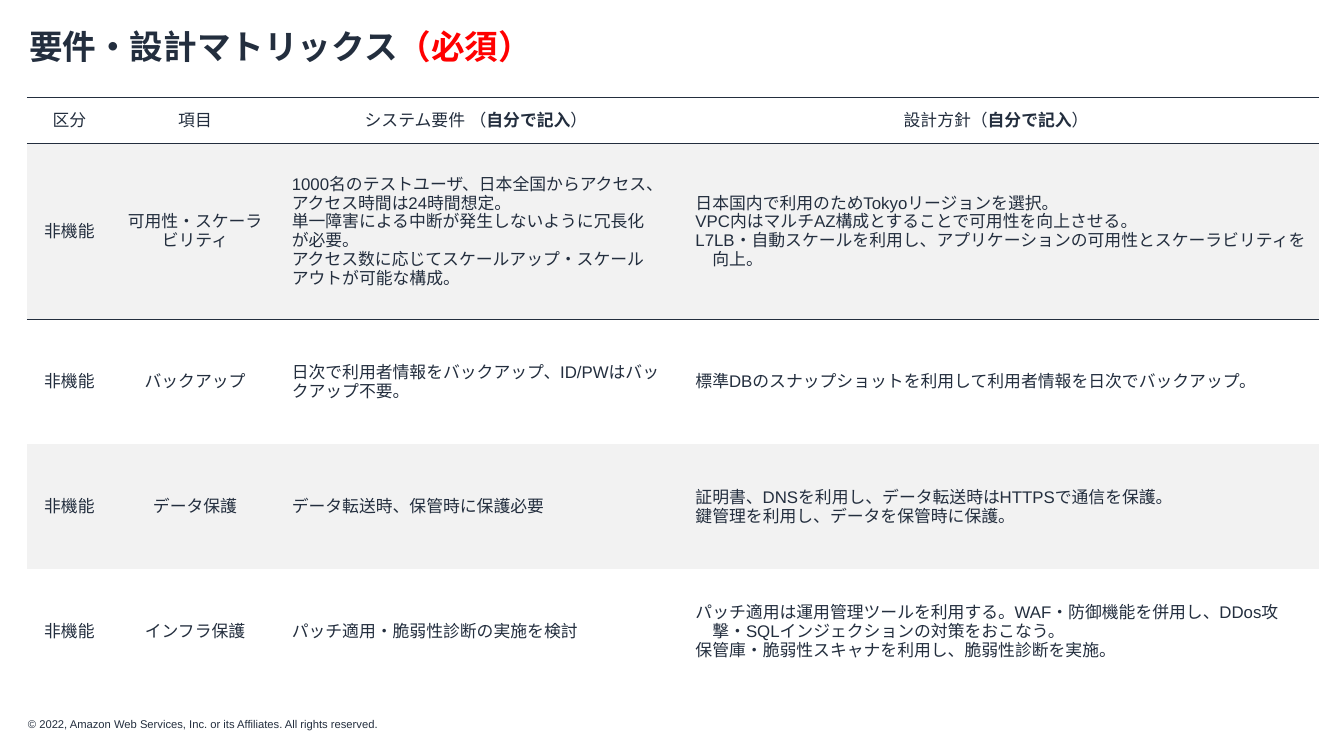
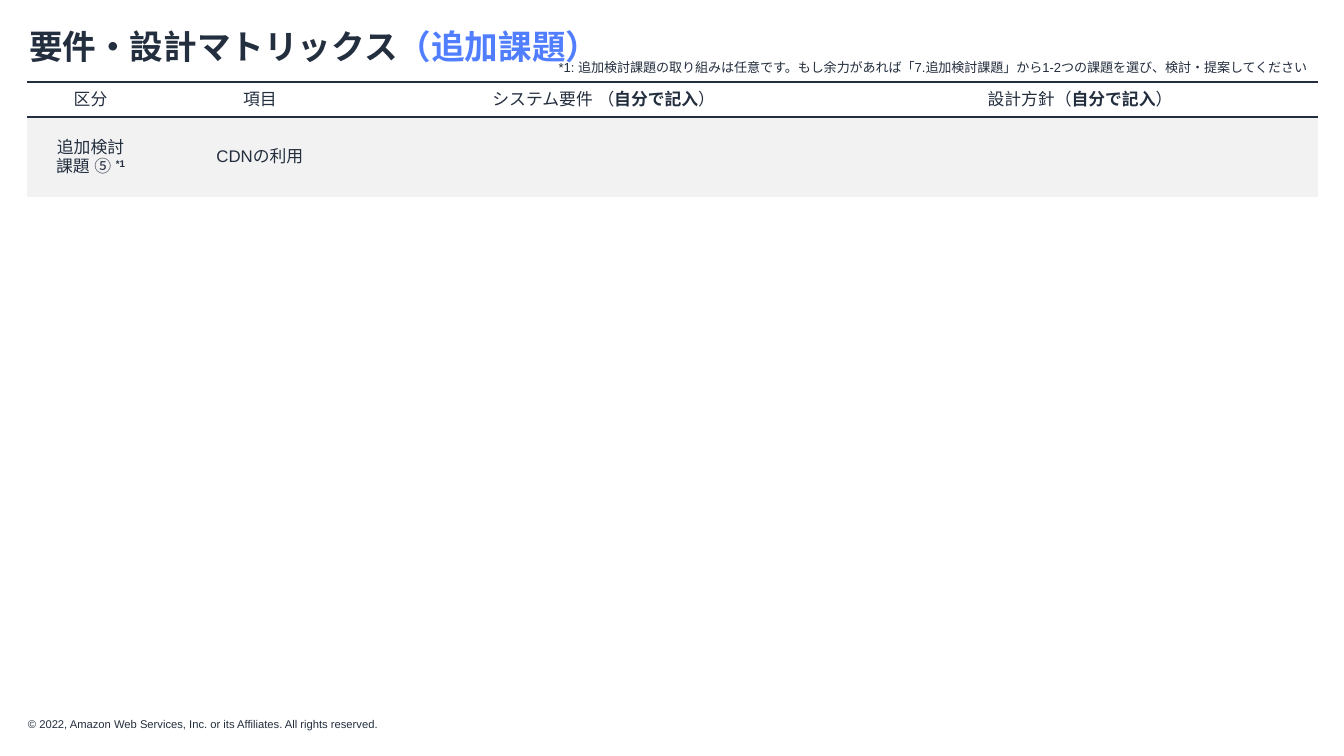
import pptx
import pptx.util
from pptx.dml.color import RGBColor
from pptx.enum.text import MSO_ANCHOR, PP_ALIGN
from pptx.oxml.ns import qn
from pptx.util import Cm, Pt
from lxml import etree

INK = RGBColor(0x23, 0x2E, 0x3E)
RED = RGBColor(0xFF, 0x00, 0x00)
BLUE = RGBColor(0x51, 0x7E, 0xFF)
BAND = RGBColor(0xF2, 0xF2, 0xF2)
FONT = "Arial"
PLAIN = "{2D5ABB26-0587-4C30-8999-92F81FD0307C}"  # table style without grid
RULE = Pt(0.75)
LEFT = Cm(0.51)

TITLE = "要件・設計マトリックス"
NOTICE = "© 2022, Amazon Web Services, Inc. or its Affiliates. All rights reserved."
NOTE = ("*1: 追加検討課題の取り組みは任意です。もし余力があれば"
        "「7.追加検討課題」から1-2つの課題を選び、検討・提案してください")

# A cell is a list of paragraphs; a paragraph is a list of (text, style) runs.
def lines(*texts):
    return [[(text, {})] for text in texts]


def to_fill(label):
    """Heading of a column that the reader fills in."""
    return [[(label, {}), ("自分で記入", {"bold": True}), ("）", {})]]


HEADS = [lines("区分"), lines("項目"), to_fill("システム要件 （"), to_fill("設計方針（")]

MUST = [
    [lines("非機能"), lines("可用性・スケーラビリティ"),
     lines("1000名のテストユーザ、日本全国からアクセス、アクセス時間は24時間想定。",
           "単一障害による中断が発生しないように冗長化が必要。",
           "アクセス数に応じてスケールアップ・スケールアウトが可能な構成。"),
     lines("日本国内で利用のためTokyoリージョンを選択。",
           "VPC内はマルチAZ構成とすることで可用性を向上させる。",
           "L7LB・自動スケールを利用し、アプリケーションの可用性とスケーラビリティを向上。")],
    [lines("非機能"), lines("バックアップ"),
     lines("日次で利用者情報をバックアップ、ID/PWはバックアップ不要。"),
     lines("標準DBのスナップショットを利用して利用者情報を日次でバックアップ。")],
    [lines("非機能"), lines("データ保護"),
     lines("データ転送時、保管時に保護必要"),
     lines("証明書、DNSを利用し、データ転送時はHTTPSで通信を保護。",
           "鍵管理を利用し、データを保管時に保護。")],
    [lines("非機能"), lines("インフラ保護"),
     lines("パッチ適用・脆弱性診断の実施を検討"),
     lines("パッチ適用は運用管理ツールを利用する。WAF・防御機能を併用し、"
           "DDos攻撃・SQLインジェクションの対策をおこなう。",
           "保管庫・脆弱性スキャナを利用し、脆弱性診断を実施。")],
]

EXTRA = [
    [[[("追加検討", {})],
      [("課題 ⑤ ", {}), ("*1", {"bold": True, "raised": True})]],
     lines("CDNの利用"), [], []],
]


def add_run(para, text, size, color=INK, bold=False, raised=False):
    run = para.add_run()
    run.text = text
    font = run.font
    font.size, font.name, font.bold = Pt(size), FONT, bold
    font.color.rgb = color
    props = run._r.get_or_add_rPr()
    etree.SubElement(props, qn("a:ea")).set("typeface", FONT)
    if raised:
        props.set("baseline", "30000")


def add_text(slide, box, runs, size, inset=True):
    frame = slide.shapes.add_textbox(*box).text_frame
    frame.word_wrap = True
    if not inset:
        frame.margin_left = frame.margin_right = 0
        frame.margin_top = frame.margin_bottom = 0
    for text, style in runs:
        add_run(frame.paragraphs[0], text, size, **style)


def add_rule(cell, side):
    """Draw a thin line on one side of a cell: lnT or lnB."""
    line = etree.SubElement(cell._tc.get_or_add_tcPr(), qn("a:" + side))
    line.set("w", str(RULE))
    fill = etree.SubElement(line, qn("a:solidFill"))
    etree.SubElement(fill, qn("a:srgbClr")).set("val", str(INK))


def fill_cell(cell, paras, row, col):
    cell.vertical_anchor = MSO_ANCHOR.MIDDLE
    if row < 2:
        add_rule(cell, "lnT")
    if row == 0:
        add_rule(cell, "lnB")
    if row % 2:
        cell.fill.solid()
        cell.fill.fore_color.rgb = BAND
    else:
        cell.fill.background()
    frame = cell.text_frame
    for i, runs in enumerate(paras):
        para = frame.add_paragraph() if i else frame.paragraphs[0]
        if row == 0 or col < 2:
            para.alignment = PP_ALIGN.CENTER
        elif col == 3:
            props = para._p.get_or_add_pPr()
            props.set("marL", str(Cm(0.48)))
            props.set("indent", str(Cm(-0.32)))
        for text, style in runs:
            add_run(para, text, 9, **style)


def add_grid(slide, top, widths, heights, body):
    """Add a matrix with the shared heading row, widths and heights in cm."""
    rows = [HEADS] + body
    shape = slide.shapes.add_table(len(rows), len(widths), LEFT, Cm(top),
                                   Cm(sum(widths)), Cm(sum(heights)))
    table = shape.table
    table.first_row = table.horz_banding = False
    table._tbl.tblPr.find(qn("a:tableStyleId")).text = PLAIN
    for column, width in zip(table.columns, widths):
        column.width = Cm(width)
    for r, (cells, height) in enumerate(zip(rows, heights)):
        table.rows[r].height = Cm(height)
        for c, paras in enumerate(cells):
            fill_cell(table.cell(r, c), paras, r, c)


def add_page(deck, tag, color):
    """Add a slide with the shared footer and title, the tag in its own colour."""
    slide = deck.slides.add_slide(deck.slide_layouts[6])
    add_text(slide, (Cm(0.53), Cm(13.56), Cm(11.5), Cm(0.25)),
             [(NOTICE, {})], 6, inset=False)
    add_text(slide, (Cm(0.3), Cm(0.36), Cm(23.67), Cm(1.52)),
             [(TITLE, {"bold": True}), (tag, {"bold": True, "color": color})], 18)
    return slide


def main():
    deck = pptx.Presentation()
    deck.slide_width, deck.slide_height = Cm(25.4), Cm(14.29)

    must = add_page(deck, "（必須）", RED)
    add_grid(must, 1.85, [1.6, 3.15, 7.47, 12.19],
             [0.86, 3.33] + [2.36] * 3, MUST)

    extra = add_page(deck, "（追加課題）", BLUE)
    add_grid(extra, 1.55, [2.4, 4, 9, 9], [0.66, 1.52], EXTRA)
    add_text(extra, (Cm(10.31), Cm(0.99), Cm(15.01), Cm(0.56)), [(NOTE, {})], 7)

    deck.save("out.pptx")


if __name__ == "__main__":
    main()
